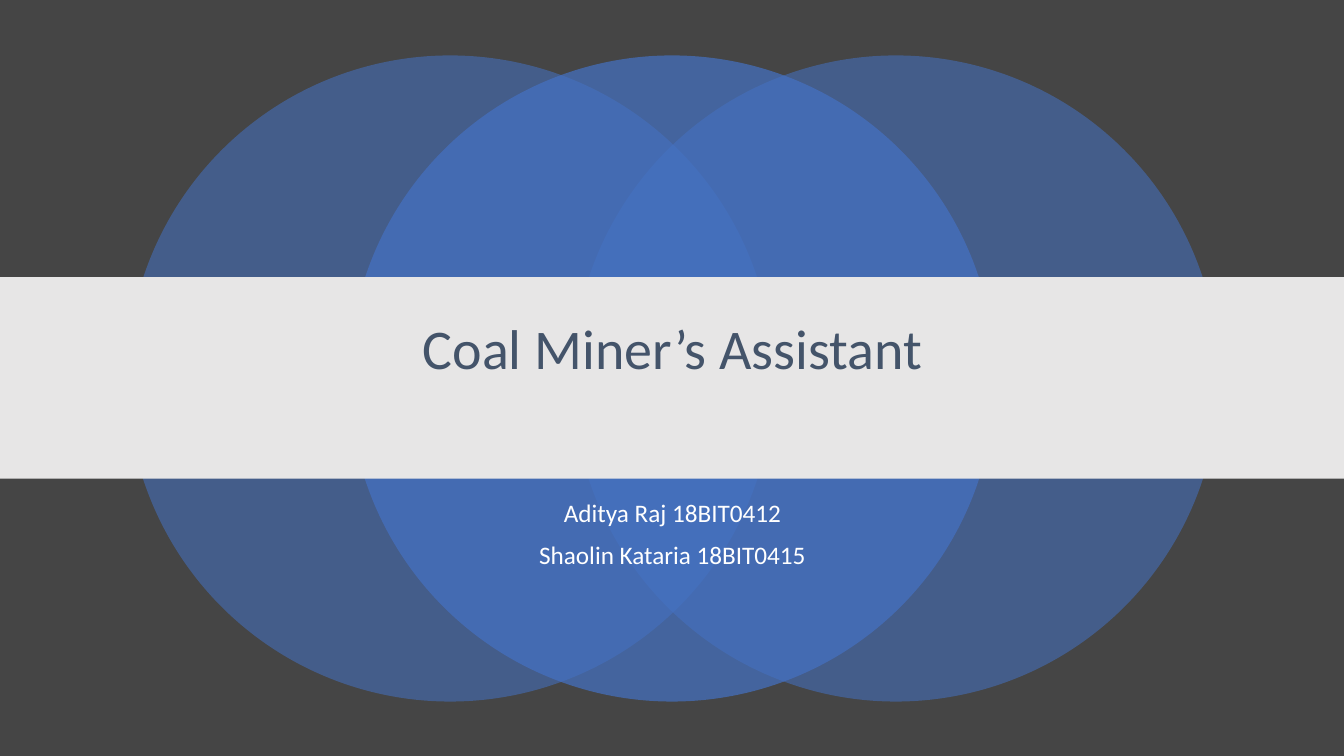
from dataclasses import dataclass

from lxml import etree
from pptx import Presentation
from pptx.dml.color import RGBColor
from pptx.enum.shapes import MSO_SHAPE
from pptx.enum.text import MSO_ANCHOR, MSO_AUTO_SIZE, PP_ALIGN
from pptx.oxml.ns import qn
from pptx.util import Inches, Pt

OVAL = MSO_SHAPE.OVAL
RECTANGLE = MSO_SHAPE.RECTANGLE
TOP = MSO_ANCHOR.TOP
NO_AUTOFIT = MSO_AUTO_SIZE.NONE
CENTER = PP_ALIGN.CENTER


@dataclass(frozen=True)
class Theme:
    font: str = "Calibri"
    background: str = "454545"
    circle: str = "4472C4"
    band: str = "E7E6E6"
    title: str = "44546A"
    authors: str = "FFFFFF"
    title_size: int = 40
    authors_size: int = 18


@dataclass(frozen=True)
class Box:
    left: float
    top: float
    width: float
    height: float

    def lengths(self) -> tuple:
        return tuple(map(Inches, (self.left, self.top, self.width, self.height)))


@dataclass(frozen=True)
class Circle:
    left: float
    opacity: int


THEME = Theme()
PAGE = Box(0, 0, 13.33, 7.5)
BAND = Box(0, 2.75, PAGE.width, 2)
TITLE = Box(1.67, 3.04, 10, 1.51)
AUTHORS = Box(1.67, 4.92, 10, 0.83)
CIRCLE_TOP = 0.55
DIAMETER = 6.41
CIRCLES = [Circle(1.26, 55), Circle(5.68, 55), Circle(3.46, 70)]


def add_filled_shape(shapes, kind, box: Box, color: str, opacity: int = 100) -> None:
    shape = shapes.add_shape(kind, *box.lengths())
    shape.shadow.inherit = False
    shape.line.fill.background()
    shape.fill.solid()
    shape.fill.fore_color.rgb = RGBColor.from_string(color)
    if opacity < 100:
        color_node = shape.element.spPr.find(".//" + qn("a:srgbClr"))
        etree.SubElement(color_node, qn("a:alpha")).set("val", str(opacity * 1000))


def fill_placeholder(slide, placeholder, box: Box, text: str, size: int,
                     color: str, space_before: int = 0) -> None:
    # Bring the placeholder in front of everything drawn so far
    slide.shapes.element.append(placeholder.element)
    placeholder.left, placeholder.top, placeholder.width, placeholder.height = box.lengths()
    frame = placeholder.text_frame
    frame.text = text
    frame.word_wrap = True
    frame.auto_size = NO_AUTOFIT
    frame.vertical_anchor = TOP
    for para in frame.paragraphs:
        para.alignment = CENTER
        para.line_spacing = 0.9
        para.space_before = Pt(space_before)
        for span in para.runs:
            span.font.name = THEME.font
            span.font.size = Pt(size)
            span.font.color.rgb = RGBColor.from_string(color)


def main() -> None:
    deck = Presentation()
    deck.slide_width = Inches(PAGE.width)
    deck.slide_height = Inches(PAGE.height)
    slide = deck.slides.add_slide(deck.slide_layouts[0])
    slide.background.fill.solid()
    slide.background.fill.fore_color.rgb = RGBColor.from_string(THEME.background)
    title, authors = slide.placeholders

    # Overlapping circles
    circle_group = slide.shapes.add_group_shape()
    for circle in CIRCLES:
        box = Box(circle.left, CIRCLE_TOP, DIAMETER, DIAMETER)
        add_filled_shape(circle_group.shapes, OVAL, box, THEME.circle, circle.opacity)

    # Authors below the band
    fill_placeholder(slide, authors, AUTHORS,
                     "Aditya Raj 18BIT0412\nShaolin Kataria 18BIT0415",
                     THEME.authors_size, THEME.authors, space_before=10)

    # Band with the title in its upper half
    add_filled_shape(slide.shapes, RECTANGLE, BAND, THEME.band)
    fill_placeholder(slide, title, TITLE, "Coal Miner’s Assistant",
                     THEME.title_size, THEME.title)
    title.text_frame.margin_top = Inches(0.15)

    deck.save("out.pptx")


if __name__ == "__main__":
    main()
